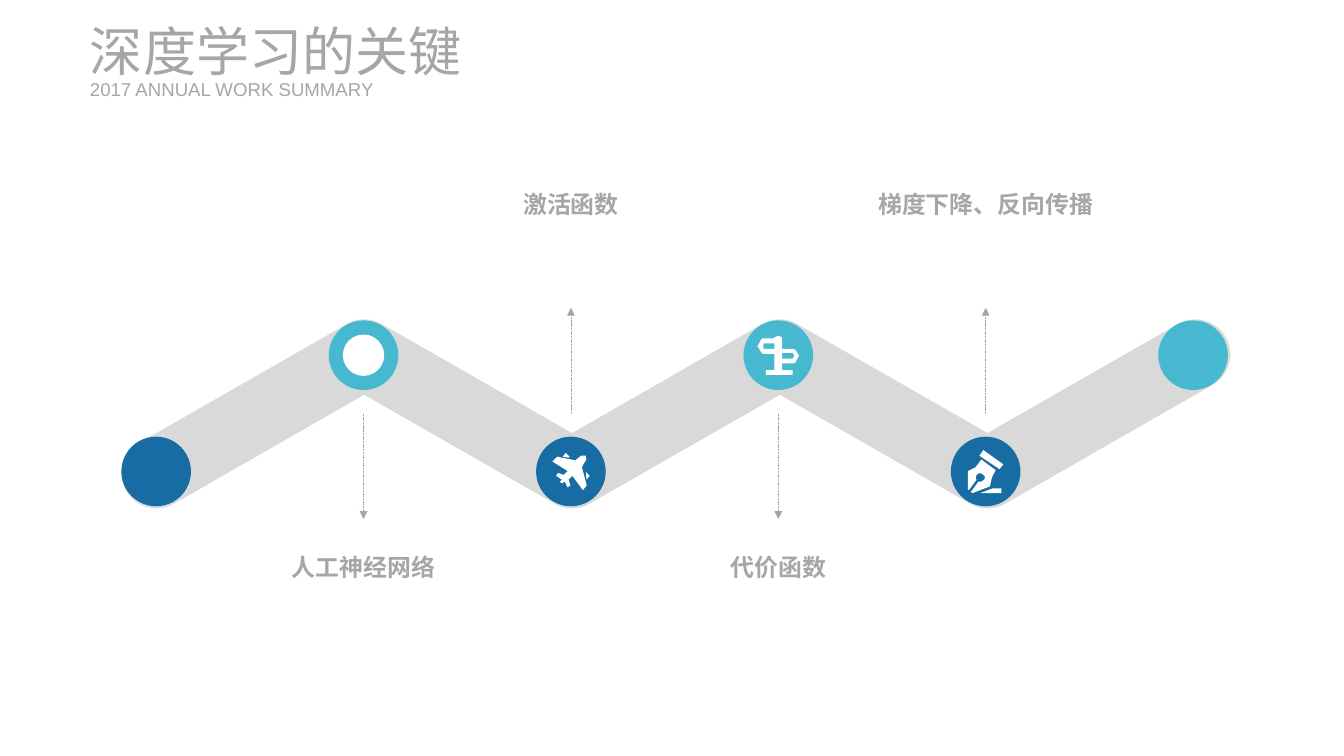
from math import atan2, cos, pi, sin

from lxml import etree
from pptx import Presentation
from pptx.dml.color import RGBColor
from pptx.enum.dml import MSO_LINE
from pptx.enum.shapes import MSO_CONNECTOR, MSO_SHAPE
from pptx.enum.text import MSO_ANCHOR, MSO_AUTO_SIZE, PP_ALIGN
from pptx.oxml.ns import qn
from pptx.util import Cm, Pt

STRAIGHT, OVAL, SYS_DASH = MSO_CONNECTOR.STRAIGHT, MSO_SHAPE.OVAL, MSO_LINE.SQUARE_DOT
LEFT, CENTER = PP_ALIGN.LEFT, PP_ALIGN.CENTER
TOP, MIDDLE, FIXED = MSO_ANCHOR.TOP, MSO_ANCHOR.MIDDLE, MSO_AUTO_SIZE.NONE

GREY, BAND_GREY, WHITE = "A6A6A6", "D9D9D9", "FFFFFF"
BLUE, TEAL = "166CA3", "46B9D0"

TITLE = "深度学习的关键"
SUBTITLE = "2017 ANNUAL WORK SUMMARY"

PLANE = [
    [(35, 3), (35.5, 7), (32, 13), (31, 15), (36, 34), (32, 39), (21, 24), (17, 28),
     (19, 34), (16, 36), (13, 30), (10, 32), (8, 30), (10, 28), (4, 24), (6, 21),
     (12, 23), (16, 19), (0, 9), (5, 4), (25, 8), (25, 7), (30, 3)],
    [(39, 24), (35, 20), (35, 21), (36, 28)],
    [(14, 0), (11, 4), (17, 5), (18, 4)],
]
SIGNPOST = [
    [(18, 8), (7, 8), (6, 11), (7, 14), (18, 14)],
    [(26, 14), (38, 14), (40, 15), (43, 20), (44, 21), (43, 22), (40, 28), (38, 29),
     (26, 29), (26, 36), (37, 36), (37, 41), (9, 41), (9, 36), (18, 36), (18, 19),
     (6, 19), (4, 17), (1, 12), (0, 11), (1, 10), (4, 4), (6, 3), (18, 3), (18, 2),
     (22, 0), (26, 2)],
    [(37, 18), (26, 18), (26, 24), (37, 24), (39, 21)],
]
PEN = [
    [(1, 42), (0, 41), (0, 22), (8, 18), (14, 10), (18, 13), (29, 21), (25, 29),
     (23, 38), (5, 45), (3, 44), (11, 33), (14, 33), (17, 31), (18, 28), (15, 25),
     (12, 24), (9, 26), (8, 29), (9, 31)],
    [(13, 45), (35, 45), (35, 40), (26, 40)],
    [(33, 20), (37, 15), (16, 0), (12, 6)],
]

STOPS = [
    ("", None),
    ("人工神经网络", None),
    ("激活函数", PLANE),
    ("代价函数", SIGNPOST),
    ("梯度下降、反向传播", PEN),
    ("", None),
]

BAND_LEFT, BAND_STEP, BAND_PEAK, BAND_VALLEY, BAND_RADIUS = 4.16, 5.52, 9.42, 12.58, 0.93
DOT_LEFT, DOT_STEP, DOT_PEAK, DOT_VALLEY, DOT_SIZE = 4.15, 5.51, 9.44, 12.53, 1.85
ICON_UNIT, DISC_SIZE = 0.0254, 1.1
ARROW_START, ARROW_UP, ARROW_DOWN = 11, 8.18, 13.79
LABEL_ABOVE, LABEL_BELOW, LABEL_HEIGHT = 4.76, 14.41, 1.17


def rgb(colour):
    return RGBColor.from_string(colour)


def paint(shape, colour):
    shape.shadow.inherit = False
    shape.fill.solid()
    shape.fill.fore_color.rgb = rgb(colour)
    shape.line.fill.background()


def write(text, box, x, y, width, height, size, bold=False, align=LEFT,
          anchor=MIDDLE, spacing=1.0, inset=0.0, wrap=True):
    box.left, box.top, box.width, box.height = Cm(x), Cm(y), Cm(width), Cm(height)
    frame = box.text_frame
    frame.auto_size, frame.word_wrap, frame.vertical_anchor = FIXED, wrap, anchor
    frame.margin_left = frame.margin_right = Cm(2 * inset)
    frame.margin_top = frame.margin_bottom = Cm(inset)
    line = frame.paragraphs[0]
    line.text, line.alignment, line.line_spacing = text, align, spacing
    font = line.font
    font.name, font.size, font.bold = "Arial", Pt(size), bold
    font.color.rgb = rgb(GREY)


def arc(x, y, radius, start, end, steps=40):
    angles = [start + (end - start) * i / steps for i in range(steps + 1)]
    return [(x + radius * cos(a), y + radius * sin(a)) for a in angles]


def outline(shapes, contours, colour):
    contours = [[(Cm(x), Cm(y)) for x, y in contour] for contour in contours]
    builder = shapes.build_freeform(*contours[0][0])
    for i, (start, *rest) in enumerate(contours):
        if i:
            builder.move_to(*start)
        builder.add_line_segments(rest, close=True)
    paint(builder.convert_to_shape(), colour)


def add_band(shapes):
    tilt = atan2(BAND_VALLEY - BAND_PEAK, BAND_STEP)
    inner = BAND_RADIUS / cos(tilt)
    up, down = 1.5 * pi, 0.5 * pi
    bends = [(BAND_LEFT + i * BAND_STEP, BAND_PEAK if i % 2 else BAND_VALLEY)
             for i in range(len(STOPS))]
    edge = arc(*bends[0], BAND_RADIUS, down - tilt, up - tilt)
    for x, y in bends[1:-1]:
        edge += (arc(x, y, BAND_RADIUS, up - tilt, up + tilt) if y == BAND_PEAK
                 else [(x, y - inner)])
    edge += arc(*bends[-1], BAND_RADIUS, up - tilt, up + pi - tilt)
    for x, y in reversed(bends[1:-1]):
        edge += ([(x, y + inner)] if y == BAND_PEAK
                 else arc(x, y, BAND_RADIUS, down - tilt, down + tilt))
    outline(shapes, [edge], BAND_GREY)


def add_disc(shapes, x, y, size, colour):
    disc = shapes.add_shape(OVAL, Cm(x - size / 2), Cm(y - size / 2), Cm(size), Cm(size))
    paint(disc, colour)


def add_icon(shapes, icon, x, y):
    xs, ys = zip(*[point for contour in icon for point in contour])
    middle_x, middle_y = (min(xs) + max(xs)) / 2, (min(ys) + max(ys)) / 2
    outline(shapes, [[(x + (px - middle_x) * ICON_UNIT, y + (py - middle_y) * ICON_UNIT)
                      for px, py in contour] for contour in icon], WHITE)


def add_arrow(shapes, x, end):
    arrow = shapes.add_connector(STRAIGHT, Cm(x), Cm(ARROW_START), Cm(x), Cm(end))
    arrow.line.color.rgb = rgb(GREY)
    arrow.line.width = Pt(0.5)
    arrow.line.dash_style = SYS_DASH
    etree.SubElement(arrow.line._get_or_add_ln(), qn("a:tailEnd"), type="triangle")
    etree.SubElement(arrow._element.spPr, qn("a:effectLst"))


def main():
    deck = Presentation()
    deck.slide_width, deck.slide_height = Cm(35.71), Cm(20.09)
    slide = deck.slides.add_slide(deck.slide_layouts[5])
    shapes = slide.shapes

    add_band(shapes)
    for i, (label, icon) in enumerate(STOPS):
        peak = i % 2 == 1
        x, y = DOT_LEFT + i * DOT_STEP, DOT_PEAK if peak else DOT_VALLEY
        add_disc(shapes, x, y, DOT_SIZE, TEAL if peak else BLUE)
        if label:
            if icon:
                add_icon(shapes, icon, x, y)
            else:
                add_disc(shapes, x, y, DISC_SIZE, WHITE)
            add_arrow(shapes, x, ARROW_DOWN if peak else ARROW_UP)
            width = 0.51 + 0.64 * len(label)
            write(label, shapes.add_textbox(0, 0, 0, 0), x - width / 2,
                  LABEL_BELOW if peak else LABEL_ABOVE, width, LABEL_HEIGHT, 18,
                  bold=True, align=CENTER, anchor=TOP, spacing=1.2, inset=0.13, wrap=False)

    write(TITLE, shapes.title, 2.39, 0.48, 10.97, 1.7, 40)
    write(SUBTITLE, shapes.add_textbox(0, 0, 0, 0), 2.39, 2.06, 7.8, 0.61, 14)
    deck.save("out.pptx")


if __name__ == "__main__":
    main()
